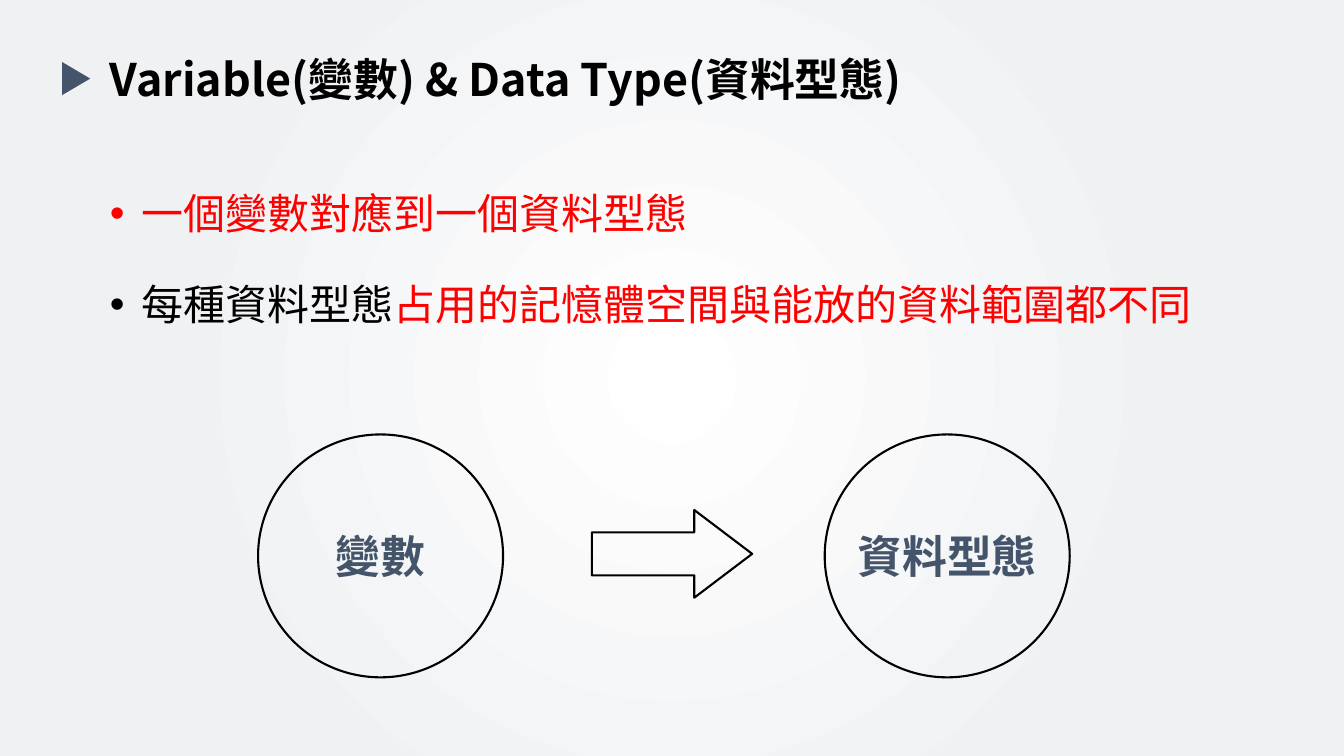
import pptx
import pptx.util
import pptx.dml.color
import pptx.enum.shapes
import pptx.enum.text
import pptx.oxml.ns
import lxml.etree

Inches, Pt = pptx.util.Inches, pptx.util.Pt
RGBColor = pptx.dml.color.RGBColor
SHAPE = pptx.enum.shapes.MSO_SHAPE
ALIGN = pptx.enum.text.PP_ALIGN
qn = pptx.oxml.ns.qn

FONT = "Noto Sans CJK SC"
BLACK = RGBColor(0, 0, 0)
RED = RGBColor(255, 0, 0)
SLATE = RGBColor(0x44, 0x54, 0x6A)
WHITE = RGBColor(255, 255, 255)
MIST = RGBColor(0xF0, 0xF1, 0xF3)

TITLE = "Variable(變數) & Data Type(資料型態)"
POINTS = [
    [("一個變數對應到一個資料型態", RED)],
    [("每種資料型態", BLACK), ("占用的記憶體空間與能放的資料範圍都不同", RED)],
]
CIRCLES = [("變數", 2.56), ("資料型態", 8.18)]


def place(shape, left, top, width, height):
    """Move and size a shape, in inches."""
    shape.left, shape.top = Inches(left), Inches(top)
    shape.width, shape.height = Inches(width), Inches(height)


def add_run(para, text, size, color, bold=False):
    """Add one formatted run to a paragraph."""
    run = para.add_run()
    run.text = text
    run.font.size = Pt(size)
    run.font.bold = bold
    run.font.color.rgb = color
    run.font.name = FONT
    props = run._r.get_or_add_rPr()
    lxml.etree.SubElement(props, qn("a:ea")).set("typeface", FONT)


def add_form(kind, left, top, width, height, fill=None):
    """Add a filled shape, or an empty one with a black outline."""
    form = slide.shapes.add_shape(
        kind, Inches(left), Inches(top), Inches(width), Inches(height))
    form.shadow.inherit = False
    if fill is None:
        form.fill.background()
        form.line.color.rgb = BLACK
        form.line.width = Pt(1.5)
    else:
        form.fill.solid()
        form.fill.fore_color.rgb = fill
        form.line.fill.background()
    return form


def set_back():
    """Give the slide a round gradient from white to pale grey."""
    fill = slide.background.fill
    fill.gradient()
    for stop, spot, color in zip(fill.gradient_stops, (0, 0.67), (WHITE, MIST)):
        stop.position = spot
        stop.color.rgb = color
    grad = slide.element.find(".//" + qn("a:gradFill"))
    lin = grad.find(qn("a:lin"))
    path = lxml.etree.Element(qn("a:path"), {"path": "circle"})
    rect = lxml.etree.SubElement(path, qn("a:fillToRect"))
    for side in "ltrb":
        rect.set(side, "50000")
    grad.replace(lin, path)


def set_frame(frame, anchor):
    """Set wrapping, fitting and anchor of a text frame."""
    frame.word_wrap = True
    frame.auto_size = pptx.enum.text.MSO_AUTO_SIZE.NONE
    frame.vertical_anchor = anchor


def add_title():
    """Fill the title and set its triangle marker beside it."""
    title = slide.shapes.title
    place(title, 0.99, 0.46, 8.58, 0.64)
    set_frame(title.text_frame, pptx.enum.text.MSO_ANCHOR.MIDDLE)
    para = title.text_frame.paragraphs[0]
    para.alignment = ALIGN.LEFT
    add_run(para, TITLE, 32, BLACK, True)
    mark = add_form(SHAPE.ISOSCELES_TRIANGLE, 0.59, 0.64, 0.33, 0.28, SLATE)
    mark.rotation = 90


def add_points():
    """Fill the body with the bullet points."""
    body = slide.placeholders[1]
    place(body, 0.99, 1.81, 11.04, 1.62)
    frame = body.text_frame
    set_frame(frame, pptx.enum.text.MSO_ANCHOR.TOP)
    for rank, parts in enumerate(POINTS):
        para = frame.add_paragraph() if rank else frame.paragraphs[0]
        para.space_before = Pt(29 if rank else 0)
        props = para._p.get_or_add_pPr()
        props.set("marL", str(Inches(0.31)))
        props.set("indent", str(-Inches(0.31)))
        lxml.etree.SubElement(props, qn("a:buChar")).set("char", "•")
        for text, color in parts:
            add_run(para, text, 30, color)


def add_flow():
    """Draw the labelled circles and the arrow between them."""
    for label, left in CIRCLES:
        frame = add_form(SHAPE.OVAL, left, 4.31, 2.43, 2.41).text_frame
        frame.word_wrap = False
        frame.vertical_anchor = pptx.enum.text.MSO_ANCHOR.MIDDLE
        para = frame.paragraphs[0]
        para.alignment = ALIGN.CENTER
        add_run(para, label, 32, SLATE, True)
    arrow = add_form(SHAPE.RIGHT_ARROW, 5.87, 5.06, 1.59, 0.87)
    arrow.adjustments[0], arrow.adjustments[1] = 0.49, 0.66


deck = pptx.Presentation()
deck.slide_width, deck.slide_height = Inches(13.33), Inches(7.5)
slide = deck.slides.add_slide(deck.slide_layouts[1])
set_back()
add_title()
add_points()
add_flow()
deck.save("out.pptx")
